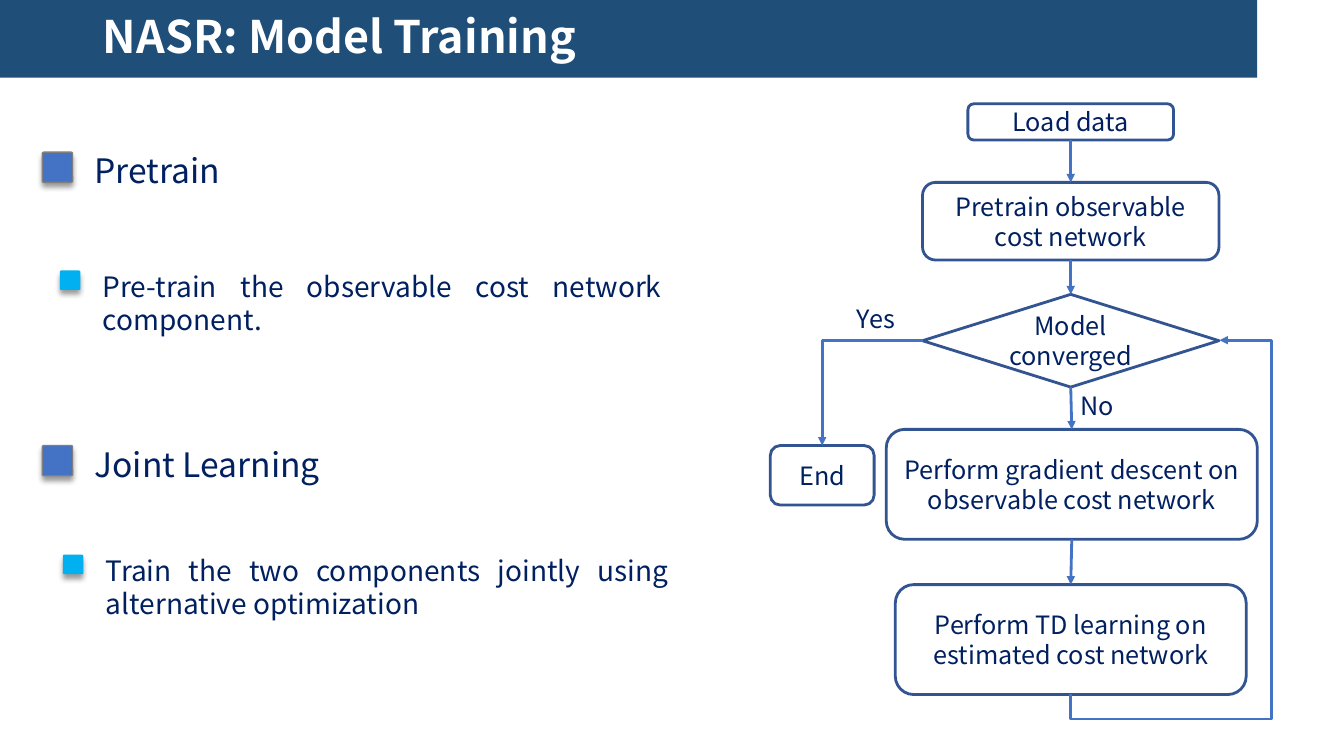
import dataclasses

import lxml.etree
import pptx
import pptx.dml.color
import pptx.enum.shapes
import pptx.enum.text
import pptx.oxml
import pptx.oxml.ns
import pptx.util

Inches = pptx.util.Inches
Pt = pptx.util.Pt
qn = pptx.oxml.ns.qn
SHAPE = pptx.enum.shapes.MSO_SHAPE
CONNECTOR = pptx.enum.shapes.MSO_CONNECTOR
ALIGN = pptx.enum.text.PP_ALIGN
ANCHOR = pptx.enum.text.MSO_ANCHOR
AUTO_SIZE = pptx.enum.text.MSO_AUTO_SIZE

FONT = "Noto Sans CJK SC"
NAVY, OUTLINE, ARROW, BAND = "002060", "325491", "4472C4", "1F4E79"
WHITE, SKY, GRAY = "FFFFFF", "00B0F0", "7F7F7F"
TOP, LEFT, BOTTOM, RIGHT = range(4)


@dataclasses.dataclass
class Step:
    name: str
    text: str
    left: float
    top: float
    width: float
    height: float
    kind: int = SHAPE.ROUNDED_RECTANGLE


@dataclasses.dataclass
class Label:
    text: str
    left: float
    top: float
    width: float
    height: float
    size: int
    align: int = ALIGN.LEFT
    wrap: bool = True


@dataclasses.dataclass
class Marker:
    left: float
    top: float
    width: float
    height: float
    fill: str
    line: str


STEPS = [
    Step("load", "Load data", 9.6, 1.03, 2.04, 0.36),
    Step("pretrain", "Pretrain observable cost network", 9.15, 1.81, 2.94, 0.77),
    Step("converged", "Model\nconverged", 9.15, 2.92, 2.94, 0.92, SHAPE.FLOWCHART_DECISION),
    Step("descent", "Perform gradient descent on observable cost network", 8.79, 4.26, 3.68, 1.09),
    Step("learning", "Perform TD learning on estimated cost network", 8.88, 5.8, 3.48, 1.09),
    Step("end", "End", 7.64, 4.42, 1.03, 0.59),
]
MAIN_FLOW = ["load", "pretrain", "converged", "descent", "learning"]

LABELS = [
    Label("No", 10.62, 3.82, 0.57, 0.4, 18, wrap=False),
    Label("Yes", 8.4, 2.96, 0.75, 0.4, 18),
    Label("Pretrain", 0.84, 1.44, 6.3, 0.5, 24),
    Label("Pre-train the observable cost network component.",
          0.92, 2.62, 5.74, 0.77, 20, ALIGN.JUSTIFY),
    Label("Joint Learning", 0.84, 4.35, 6.3, 0.5, 24),
    Label("Train the two components jointly using alternative optimization",
          0.95, 5.44, 5.78, 0.77, 20, ALIGN.JUSTIFY),
]

MARKERS = [
    Marker(0.42, 1.51, 0.3, 0.3, ARROW, GRAY),
    Marker(0.6, 2.69, 0.19, 0.18, SKY, SKY),
    Marker(0.42, 4.42, 0.3, 0.3, ARROW, GRAY),
    Marker(0.63, 5.51, 0.19, 0.18, SKY, SKY),
]


def color(value: str) -> pptx.dml.color.RGBColor:
    return pptx.dml.color.RGBColor.from_string(value)


def box(item: Step | Label | Marker) -> list[int]:
    return [Inches(length) for length in (item.left, item.top, item.width, item.height)]


def format_text(frame, size: int, align: int, text_color: str = NAVY, bold: bool = False) -> None:
    for paragraph in frame.paragraphs:
        paragraph.alignment = align
        paragraph.font.name = FONT
        paragraph.font.size = Pt(size)
        paragraph.font.bold = bold
        paragraph.font.color.rgb = color(text_color)


def add_title(slide, text: str) -> None:
    band = slide.shapes.add_shape(SHAPE.RECTANGLE, 0, 0, Inches(12.47), Inches(0.77))
    band.shadow.inherit = False
    band.fill.solid()
    band.fill.fore_color.rgb = color(BAND)
    band.line.fill.background()
    title = slide.shapes.title
    title._element.addprevious(band._element)
    title.left, title.top = Inches(0.92), 0
    title.width, title.height = Inches(11.5), Inches(0.77)
    frame = title.text_frame
    frame.text = text
    frame.auto_size = AUTO_SIZE.NONE
    frame.vertical_anchor = ANCHOR.MIDDLE
    frame.paragraphs[0].line_spacing = 0.9
    format_text(frame, 32, ALIGN.LEFT, WHITE, True)


def add_step(slide, step: Step):
    shape = slide.shapes.add_shape(step.kind, *box(step))
    shape.shadow.inherit = False
    shape.fill.background()
    shape.line.color.rgb = color(OUTLINE)
    shape.line.width = Pt(2)
    shape.text_frame.word_wrap = True
    shape.text_frame.vertical_anchor = ANCHOR.MIDDLE
    shape.text_frame.text = step.text
    format_text(shape.text_frame, 18, ALIGN.CENTER)
    return shape


def add_label(slide, label: Label) -> None:
    frame = slide.shapes.add_textbox(*box(label)).text_frame
    frame.word_wrap = label.wrap
    frame.auto_size = AUTO_SIZE.SHAPE_TO_FIT_TEXT
    frame.text = label.text
    format_text(frame, label.size, label.align)


def add_marker(slide, marker: Marker) -> None:
    shape = slide.shapes.add_shape(SHAPE.ROUNDED_RECTANGLE, *box(marker))
    shape.adjustments[0] = 0.05
    shape.fill.solid()
    shape.fill.fore_color.rgb = color(marker.fill)
    shape.line.color.rgb = color(marker.line)
    shape.line.width = Pt(1)
    shape.shadow.inherit = False
    effects = shape._element.spPr.find(qn("a:effectLst"))
    shadow = lxml.etree.SubElement(effects, qn("a:outerShdw"), blurRad=str(Pt(4)),
                                   dist=str(Pt(3)), dir="5400000", rotWithShape="0")
    shade = lxml.etree.SubElement(shadow, qn("a:srgbClr"), val="000000")
    lxml.etree.SubElement(shade, qn("a:alpha"), val="40000")


def add_arrow(slide, kind: int, start, start_side: int, finish, finish_side: int):
    connector = slide.shapes.add_connector(kind, 0, 0, 0, 0)
    connector.begin_connect(start, start_side)
    connector.end_connect(finish, finish_side)
    connector.line.color.rgb = color(ARROW)
    connector.line.width = Pt(2)
    line = connector.line._get_or_add_ln()
    lxml.etree.SubElement(line, qn("a:tailEnd"), type="triangle")
    lxml.etree.SubElement(connector._element.spPr, qn("a:effectLst"))
    return connector


def bend(connector, preset: str, adjustments: tuple[int, ...] = ()) -> None:
    geometry = connector._element.spPr.find(qn("a:prstGeom"))
    geometry.set("prst", preset)
    guides = geometry.find(qn("a:avLst"))
    for number, value in enumerate(adjustments, 1):
        lxml.etree.SubElement(guides, qn("a:gd"), name=f"adj{number}", fmla=f"val {value}")


def main() -> None:
    presentation = pptx.Presentation()
    presentation.slide_width, presentation.slide_height = Inches(13.33), Inches(7.5)
    slide = presentation.slides.add_slide(presentation.slide_layouts[5])
    add_title(slide, "NASR: Model Training")
    steps = {step.name: add_step(slide, step) for step in STEPS}
    for start, finish in zip(MAIN_FLOW, MAIN_FLOW[1:]):
        add_arrow(slide, CONNECTOR.STRAIGHT, steps[start], BOTTOM, steps[finish], TOP)

    finish_arrow = add_arrow(slide, CONNECTOR.ELBOW, steps["converged"], LEFT, steps["end"], TOP)
    bend(finish_arrow, "bentConnector2")

    loop = add_arrow(slide, CONNECTOR.ELBOW, steps["learning"], BOTTOM, steps["converged"], RIGHT)
    bend(loop, "bentConnector4", (-7100, 134700))
    loop.left, loop.top = Inches(9.6), Inches(4.39)
    loop.width, loop.height = Inches(3.51), Inches(1.48)
    transform = loop._element.spPr.find(qn("a:xfrm"))
    for name, value in (("rot", "5400000"), ("flipH", "1"), ("flipV", "1")):
        transform.set(name, value)

    for label in LABELS:
        add_label(slide, label)
    for marker in MARKERS:
        add_marker(slide, marker)
    presentation.save("out.pptx")


if __name__ == "__main__":
    main()
